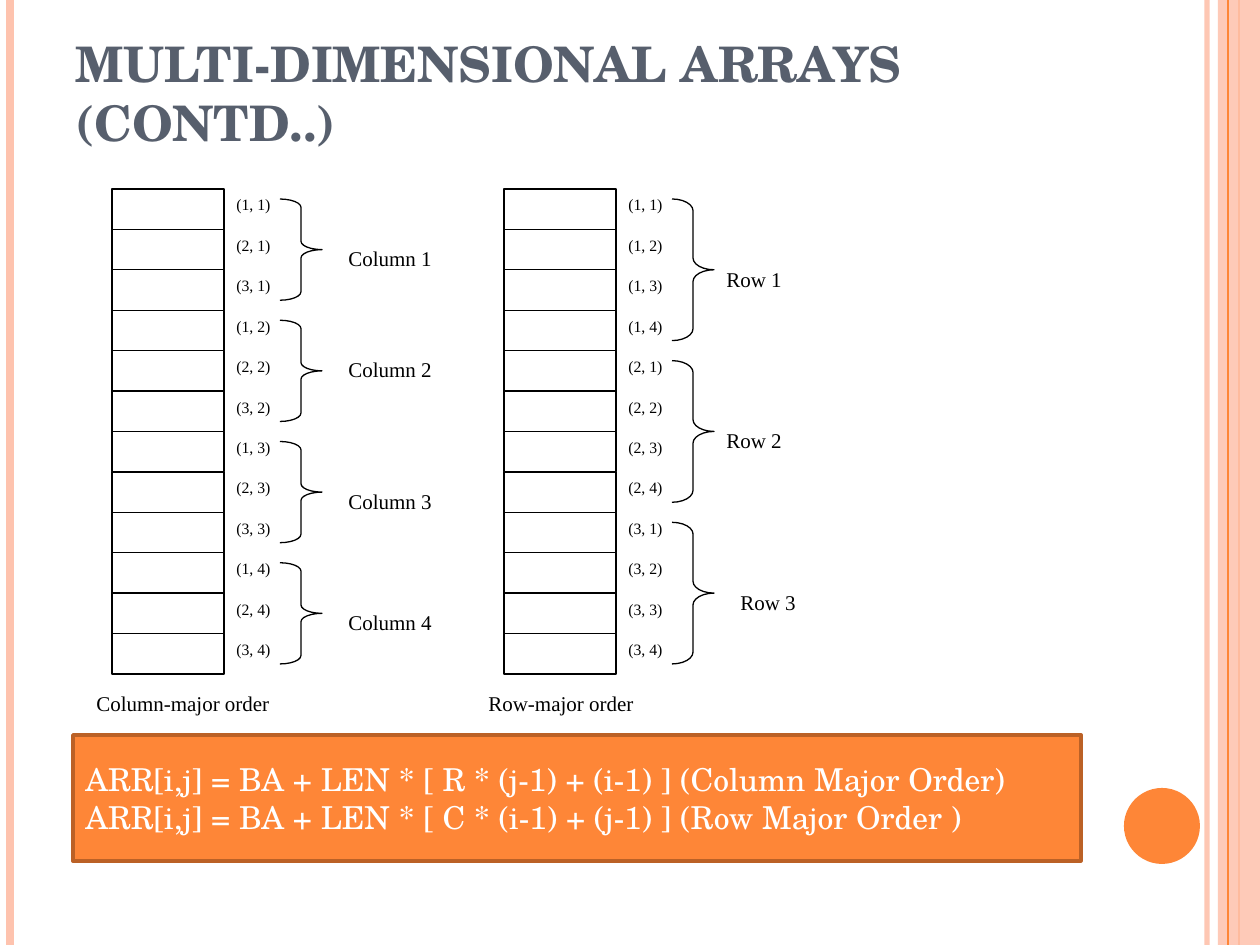
from dataclasses import dataclass
from lxml import etree
from pptx import Presentation
from pptx.dml.color import RGBColor
from pptx.enum import shapes, text
from pptx.oxml import ns
from pptx.util import Emu, Pt

SCALE = 914400 / 126
WIDE, HIGH = 1260, 945
ROWS, COLS = 3, 4
TOP, TALL = 189, 485  # memory strip: top edge and full height


@dataclass(frozen=True)
class Theme:
    accent: str = "FE8637"
    edge: str = "BB6126"
    pale: str = "FEC3AE"
    slate: str = "575F6D"
    ink: str = "000000"
    paper: str = "FFFFFF"
    serif: str = "TeX Gyre Schola"
    plain: str = "Times New Roman"
    head: int = 28
    rule: int = 18
    label: int = 12
    index: int = 9
    thin: float = 0.75


T = Theme()


def px(n):
    return Emu(round(n * SCALE))


def box(x, y, w, h):
    return [px(n) for n in (x, y, w, h)]


def rgb(code):
    return RGBColor.from_string(code)


def fade(item, percent):
    color = item._element.spPr.find(".//" + ns.qn("a:srgbClr"))
    etree.SubElement(color, ns.qn("a:alpha")).set("val", str(percent * 1000))


def write(item, words, font, size, color, bold=False):
    frame = item.text_frame
    frame.text = words
    frame.word_wrap = True
    frame.auto_size = text.MSO_AUTO_SIZE.NONE
    for para in frame.paragraphs:
        para.alignment = text.PP_ALIGN.LEFT
        for run in para.runs:
            run.font.name = font
            run.font.size = Pt(size)
            run.font.bold = bold
            run.font.color.rgb = rgb(color)


def shape(slide, kind, place, fill=None, line=None, width=T.thin):
    item = slide.shapes.add_shape(kind, *box(*place))
    item.shadow.inherit = False
    if fill:
        item.fill.solid()
        item.fill.fore_color.rgb = rgb(fill)
    else:
        item.fill.background()
    if line:
        item.line.color.rgb = rgb(line)
        item.line.width = Pt(width)
    else:
        item.line.fill.background()
    return item


def stripe(slide, x, color, width):
    item = slide.shapes.add_connector(
        shapes.MSO_CONNECTOR.STRAIGHT, px(x), 0, px(x), px(HIGH))
    item.line.color.rgb = rgb(color)
    item.line.width = Pt(width)
    etree.SubElement(item._element.spPr, ns.qn("a:effectLst"))
    return item


def note(slide, words, place, size):
    item = slide.shapes.add_textbox(*box(*place))
    write(item, words, T.plain, size, T.ink)


def brace(slide, x, y, w, h):
    item = shape(slide, shapes.MSO_SHAPE.RIGHT_BRACE, (x, y, w, h), line=T.ink)
    item.adjustments[0] = h / w / 12


def frame(slide):
    fade(stripe(slide, 1207, T.pale, 3), 93)
    stripe(slide, 10, T.pale, 4.5)
    stripe(slide, 1239, T.accent, 1.5)
    band = shape(slide, shapes.MSO_SHAPE.RECTANGLE, (1218, 0, 42, HIGH), T.pale)
    fade(band, 87)
    stripe(slide, 1228, T.accent, T.thin)
    shape(slide, shapes.MSO_SHAPE.OVAL, (1124, 788, 76, 76), T.accent)


def strip(slide, left, pairs, group, labels, caption):
    """Draw one memory layout; each label is (words, x offset, top)."""
    step = TALL / len(pairs)
    # Cells and their indices
    for i, (row, col) in enumerate(pairs):
        y = TOP + i * step
        shape(slide, shapes.MSO_SHAPE.RECTANGLE, (left, y, 112, step),
              T.paper, T.ink)
        note(slide, f"({row}, {col})", (left + 112, y, 126, step), T.index)
    # One brace and label for each group
    for i, (words, shift, y) in enumerate(labels):
        brace(slide, left + 168, TOP + i * group * step + 10,
              42, group * step - 20)
        note(slide, words, (left + shift, y, 154, 30), T.label)
    note(slide, caption, (left - 28, 684, 224, 30), T.label)


def main():
    deck = Presentation()
    deck.slide_width, deck.slide_height = px(WIDE), px(HIGH)
    slide = deck.slides.add_slide(deck.slide_layouts[5])
    frame(slide)

    # Title
    title = slide.shapes.title
    title.left, title.top, title.width, title.height = box(63, 38, 1029, 120)
    write(title, "MULTI-DIMENSIONAL ARRAYS (CONTD..)",
          T.serif, T.head, T.slate, True)
    title.text_frame.vertical_anchor = text.MSO_ANCHOR.BOTTOM

    # Two ways to store the same array
    rows, cols = range(1, ROWS + 1), range(1, COLS + 1)
    strip(slide, 112, [(r, c) for c in cols for r in rows], ROWS,
          [("Column 1", 224, 239), ("Column 2", 224, 350),
           ("Column 3", 224, 482), ("Column 4", 224, 603)],
          "Column‑major order")
    strip(slide, 504, [(r, c) for r in rows for c in cols], COLS,
          [("Row 1", 210, 260), ("Row 2", 210, 421), ("Row 3", 224, 583)],
          "Row‑major order")

    # Address formulas
    panel = shape(slide, shapes.MSO_SHAPE.RECTANGLE, (73, 735, 1008, 126),
                  T.accent, T.edge, 2)
    write(panel,
          "ARR[i,j] = BA + LEN * [ R * (j-1) + (i-1) ] (Column Major Order)\n"
          "ARR[i,j] = BA + LEN * [ C * (i-1) + (j-1) ] (Row Major Order )",
          T.serif, T.rule, T.paper)
    panel.text_frame.vertical_anchor = text.MSO_ANCHOR.MIDDLE

    deck.save("out.pptx")


if __name__ == "__main__":
    main()
